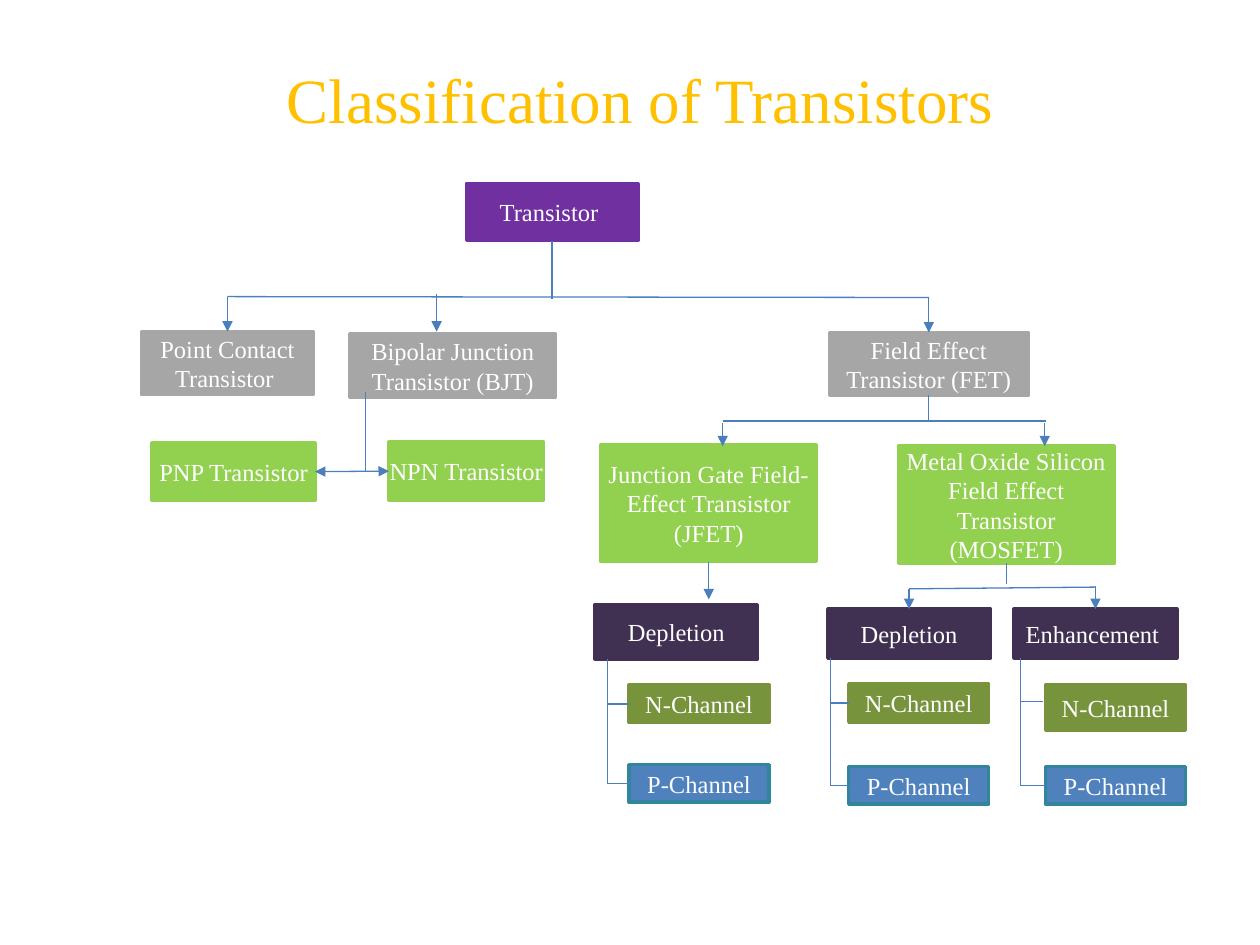
from dataclasses import dataclass
from typing import NamedTuple, Union

import pptx
import pptx.dml.color
import pptx.enum.shapes
import pptx.enum.text
import pptx.oxml
import pptx.oxml.ns
import pptx.util
from pptx.util import Pt

TOP, LEFT, BOTTOM, RIGHT = range(4)


@dataclass(frozen=True)
class Theme:
    font: str = "Times New Roman"
    title_size: float = 36
    box_size: float = 14
    border: float = 2
    link_width: float = 0.75
    title: str = "FFC000"
    text: str = "FFFFFF"
    link: str = "4B7EBC"
    root: str = "7030A0"
    family: str = "A6A6A6"
    kind: str = "92D050"
    mode: str = "403152"
    n_channel: str = "77933C"
    p_channel: str = "4F81BD"
    p_border: str = "31859C"


THEME = Theme()


class Point(NamedTuple):
    x: float
    y: float


class Joint(NamedTuple):
    """The middle of one side of a named box."""
    box: str
    side: int


End = Union[Point, Joint]


class Box(NamedTuple):
    name: str
    text: str
    left: float
    top: float
    width: float
    height: float
    fill: str
    border: str


class Link(NamedTuple):
    start: End
    end: End
    head: bool = False
    tail: bool = False


class Branch(NamedTuple):
    """A mode box's stem with its N-channel and P-channel boxes."""
    mode: str
    stem_x: float
    stem_top: float
    left: float
    n_top: float
    n_height: float
    n_end: End
    p_top: float


def plain_box(name: str, text: str, left: float, top: float,
              width: float, height: float, colour: str) -> Box:
    return Box(name, text, left, top, width, height, colour, colour)


BOXES = [
    plain_box("root", "Transistor ", 266.5, 105, 98, 32.5, THEME.root),
    plain_box("point", "Point Contact Transistor ", 81, 189.5, 98, 36, THEME.family),
    plain_box("bjt", "Bipolar Junction Transistor (BJT)", 200, 191, 117.5, 36, THEME.family),
    plain_box("fet", "Field Effect Transistor (FET)", 474, 190, 113.5, 36, THEME.family),
    plain_box("pnp", "PNP Transistor", 87, 253, 93, 33, THEME.kind),
    plain_box("npn", "NPN Transistor", 222.25, 252.75, 88.5, 33, THEME.kind),
    plain_box("jfet", "Junction Gate Field-Effect Transistor (JFET)",
              343.5, 254, 123, 67, THEME.kind),
    plain_box("mosfet", "Metal Oxide Silicon Field Effect Transistor (MOSFET)",
              513.5, 255, 123, 67, THEME.kind),
    plain_box("jfet mode", "Depletion", 340, 345.5, 93, 31, THEME.mode),
    plain_box("depletion", "Depletion", 473, 348, 93, 28, THEME.mode),
    plain_box("enhancement", "Enhancement ", 579.5, 348, 93, 28, THEME.mode),
]

BRANCHES = [
    Branch("jfet mode", 347, 376.5, 359.5, 391.5, 21.5, Joint("jfet mode N", LEFT), 437),
    Branch("depletion", 474.5, 376, 485, 391, 21.5, Joint("depletion N", LEFT), 438),
    Branch("enhancement", 583, 376, 597.5, 391.5, 26, Point(596, 401), 438),
]
CHANNEL_WIDTH = 80
P_HEIGHT = 21.5

LINKS = [
    Link(Joint("root", BOTTOM), Point(315.5, 171)),
    Link(Point(130, 169.5), Point(531, 170)),
    Link(Point(130, 169.5), Joint("point", TOP), tail=True),
    Link(Point(249.5, 168), Point(249.5, 189.5), tail=True),
    Link(Point(530.75, 170), Joint("fet", TOP), tail=True),
    Link(Point(208.75, 224), Point(208.75, 269)),
    Link(Joint("pnp", RIGHT), Joint("npn", LEFT), head=True, tail=True),
    Link(Point(413, 240.5), Point(597.5, 240.5)),
    Link(Point(597, 242), Point(597, 255), tail=True),
    Link(Point(413, 242), Point(413, 255), tail=True),
    Link(Joint("fet", BOTTOM), Point(530.75, 240)),
    Link(Joint("mosfet", BOTTOM), Point(575, 334)),
    Link(Point(519.5, 336.5), Point(626, 335.5)),
    Link(Point(626, 335), Joint("enhancement", TOP), tail=True),
    Link(Point(519.5, 336.5), Joint("depletion", TOP), tail=True),
    Link(Joint("jfet", BOTTOM), Point(405, 342.5), tail=True),
]


def rgb(colour: str) -> pptx.dml.color.RGBColor:
    return pptx.dml.color.RGBColor.from_string(colour)


def write(shape, text: str, size: float, colour: str, anchor) -> None:
    frame = shape.text_frame
    frame.text = text
    frame.word_wrap = True
    frame.vertical_anchor = anchor
    frame.margin_left = frame.margin_right = frame.margin_top = frame.margin_bottom = 0
    para = frame.paragraphs[0]
    para.alignment = pptx.enum.text.PP_ALIGN.CENTER
    font = para.runs[0].font
    font.name = THEME.font
    font.size = Pt(size)
    font.color.rgb = rgb(colour)


def draw_box(page, box: Box):
    shape = page.shapes.add_shape(
        pptx.enum.shapes.MSO_SHAPE.RECTANGLE,
        Pt(box.left), Pt(box.top), Pt(box.width), Pt(box.height))
    shape.shadow.inherit = False
    shape.fill.solid()
    shape.fill.fore_color.rgb = rgb(box.fill)
    shape.line.color.rgb = rgb(box.border)
    shape.line.width = Pt(THEME.border)
    write(shape, box.text, THEME.box_size, THEME.text, pptx.enum.text.MSO_ANCHOR.MIDDLE)
    return shape


def draw_link(page, link: Link, shapes: dict) -> None:
    ends = [Point(0, 0) if isinstance(end, Joint) else end for end in link[:2]]
    line = page.shapes.add_connector(
        pptx.enum.shapes.MSO_CONNECTOR.STRAIGHT,
        *(Pt(length) for end in ends for length in end))
    for end, connect in zip(link[:2], (line.begin_connect, line.end_connect)):
        if isinstance(end, Joint):
            connect(shapes[end.box], end.side)
    line.line.color.rgb = rgb(THEME.link)
    line.line.width = Pt(THEME.link_width)
    outline = line.line._get_or_add_ln()
    for tag, shown in (("a:headEnd", link.head), ("a:tailEnd", link.tail)):
        if shown:
            arrow = pptx.oxml.parse_xml(
                f'<{tag} {pptx.oxml.ns.nsdecls("a")} type="triangle"/>')
            outline.append(arrow)
    line._element.spPr.append(
        pptx.oxml.parse_xml(f'<a:effectLst {pptx.oxml.ns.nsdecls("a")}/>'))


def branch_boxes(branch: Branch) -> list[Box]:
    return [
        plain_box(f"{branch.mode} N", "N-Channel", branch.left, branch.n_top,
                  CHANNEL_WIDTH, branch.n_height, THEME.n_channel),
        Box(f"{branch.mode} P", "P-Channel", branch.left, branch.p_top,
            CHANNEL_WIDTH, P_HEIGHT, THEME.p_channel, THEME.p_border),
    ]


def branch_links(branch: Branch) -> list[Link]:
    n_y = (branch.n_end.y if isinstance(branch.n_end, Point)
           else branch.n_top + branch.n_height / 2)
    foot = Point(branch.stem_x, branch.p_top + P_HEIGHT / 2)
    return [
        Link(Point(branch.stem_x, branch.stem_top), foot),
        Link(foot, Joint(f"{branch.mode} P", LEFT)),
        Link(Point(branch.stem_x, n_y), branch.n_end),
    ]


def main() -> None:
    deck = pptx.Presentation()
    deck.slide_width, deck.slide_height = Pt(720), Pt(540)
    page = deck.slides.add_slide(deck.slide_layouts[6])

    title = page.shapes.add_textbox(Pt(147), Pt(34.5), Pt(438), Pt(37.5))
    write(title, "Classification of Transistors", THEME.title_size, THEME.title,
          pptx.enum.text.MSO_ANCHOR.TOP)

    boxes = BOXES + [box for branch in BRANCHES for box in branch_boxes(branch)]
    links = LINKS + [link for branch in BRANCHES for link in branch_links(branch)]
    shapes = {box.name: draw_box(page, box) for box in boxes}
    for link in links:
        draw_link(page, link, shapes)
    deck.save("out.pptx")


if __name__ == "__main__":
    main()
